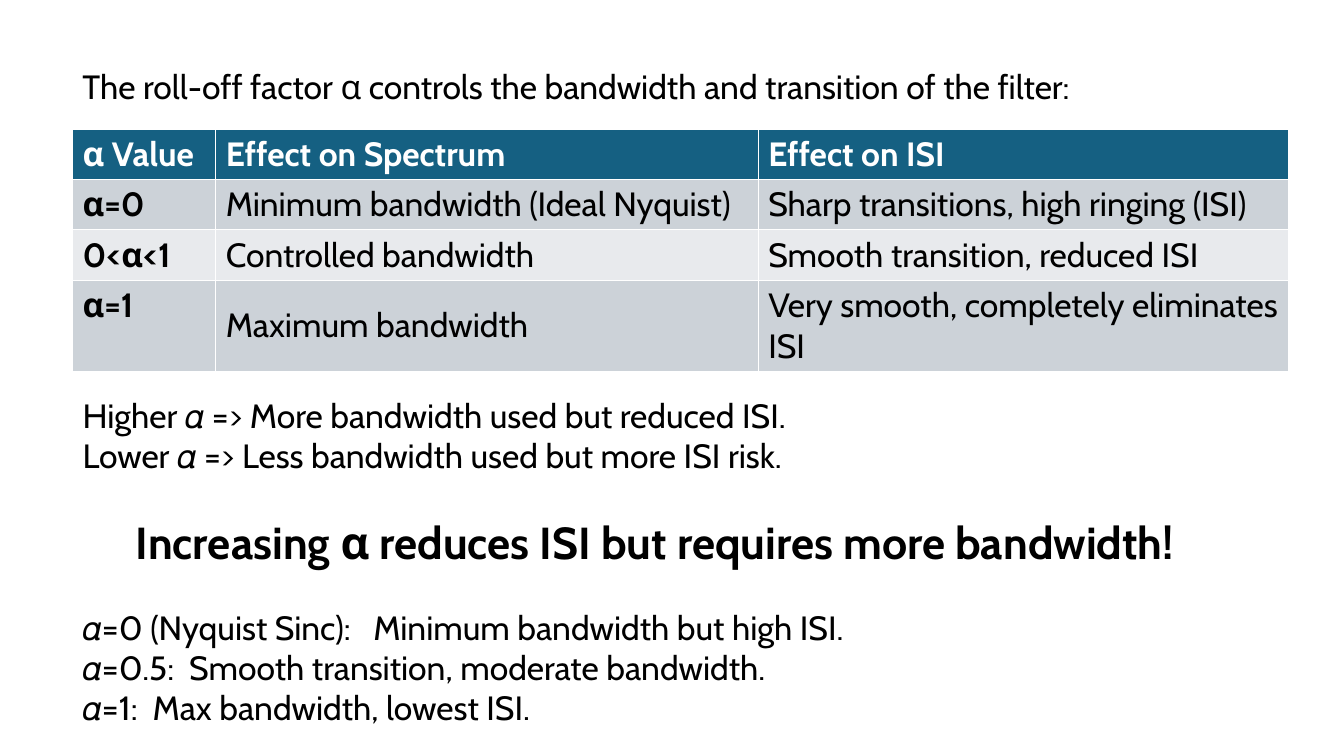
from pptx import Presentation
from pptx.dml.color import RGBColor
from pptx.enum.text import MSO_ANCHOR, PP_ALIGN
from pptx.util import Inches, Pt

JUSTIFY = PP_ALIGN.JUSTIFY
TOP, MIDDLE = MSO_ANCHOR.TOP, MSO_ANCHOR.MIDDLE
BLACK, WHITE, HEADER = "000000", "FFFFFF", "156082"
BANDS = ["CCD2D8", "E8EAED"]


def rgb(value):
    return RGBColor.from_string(value)


def style_runs(paragraph, size, color, bold):
    for run in paragraph.runs:
        run.font.name = "Cabin"
        run.font.size = Pt(size)
        run.font.bold = bold
        run.font.color.rgb = rgb(color)


prs = Presentation()
prs.slide_width, prs.slide_height = Inches(13.33), Inches(7.5)
slide = prs.slides.add_slide(prs.slide_layouts[6])

# Statements above and below the table: left, top, width, height, size, bold, lines
statements = [
    (0.72, 0.6, 10.17, 0.5, 24, False,
     ["The roll-off factor α controls the bandwidth and transition of the filter:"]),
    (0.72, 3.87, 9.85, 0.91, 24, False,
     ["Higher 𝛼 => More bandwidth used but reduced ISI.",
      "Lower 𝛼 => Less bandwidth used but more ISI risk."]),
    (1.25, 5.06, 11.53, 0.64, 32, True,
     ["Increasing α reduces ISI but requires more bandwidth!"]),
    (0.72, 5.97, 11.53, 1.31, 24, False,
     ["𝛼=0 (Nyquist Sinc):   Minimum bandwidth but high ISI.",
      "𝛼=0.5:  Smooth transition, moderate bandwidth.",
      "𝛼=1:  Max bandwidth, lowest ISI."]),
]
for left, top, width, height, size, bold, lines in statements:
    statement = slide.shapes.add_textbox(
        Inches(left), Inches(top), Inches(width), Inches(height)).text_frame
    statement.word_wrap = True
    statement.text = "\n".join(lines)
    for paragraph in statement.paragraphs:
        paragraph.alignment = JUSTIFY
        style_runs(paragraph, size, BLACK, bold)

# Roll-off table; the default table style supplies the white rules
effects = [
    ("α Value", "Effect on Spectrum", "Effect on ISI"),
    ("α=0", "Minimum bandwidth (Ideal Nyquist)", "Sharp transitions, high ringing (ISI)"),
    ("0<α<1", "Controlled bandwidth", "Smooth transition, reduced ISI"),
    ("α=1", "Maximum bandwidth", "Very smooth, completely eliminates ISI"),
]
column_widths = [1.42, 5.38, 5.26]
row_height = 0.41
rolloff = slide.shapes.add_table(
    len(effects), len(column_widths), Inches(0.72), Inches(1.28),
    Inches(sum(column_widths)), Inches(row_height * len(effects))).table
for column, width in zip(rolloff.columns, column_widths):
    column.width = Inches(width)

for r, row in enumerate(effects):
    rolloff.rows[r].height = Inches(row_height)
    for c, text in enumerate(row):
        cell = rolloff.cell(r, c)
        is_heading = r == 0 or c == 0
        cell.text = text
        cell.vertical_anchor = TOP if is_heading else MIDDLE
        cell.fill.solid()
        cell.fill.fore_color.rgb = rgb(HEADER if r == 0 else BANDS[(r - 1) % 2])
        style_runs(cell.text_frame.paragraphs[0], 24,
                   WHITE if r == 0 else BLACK, is_heading)

prs.save("out.pptx")
